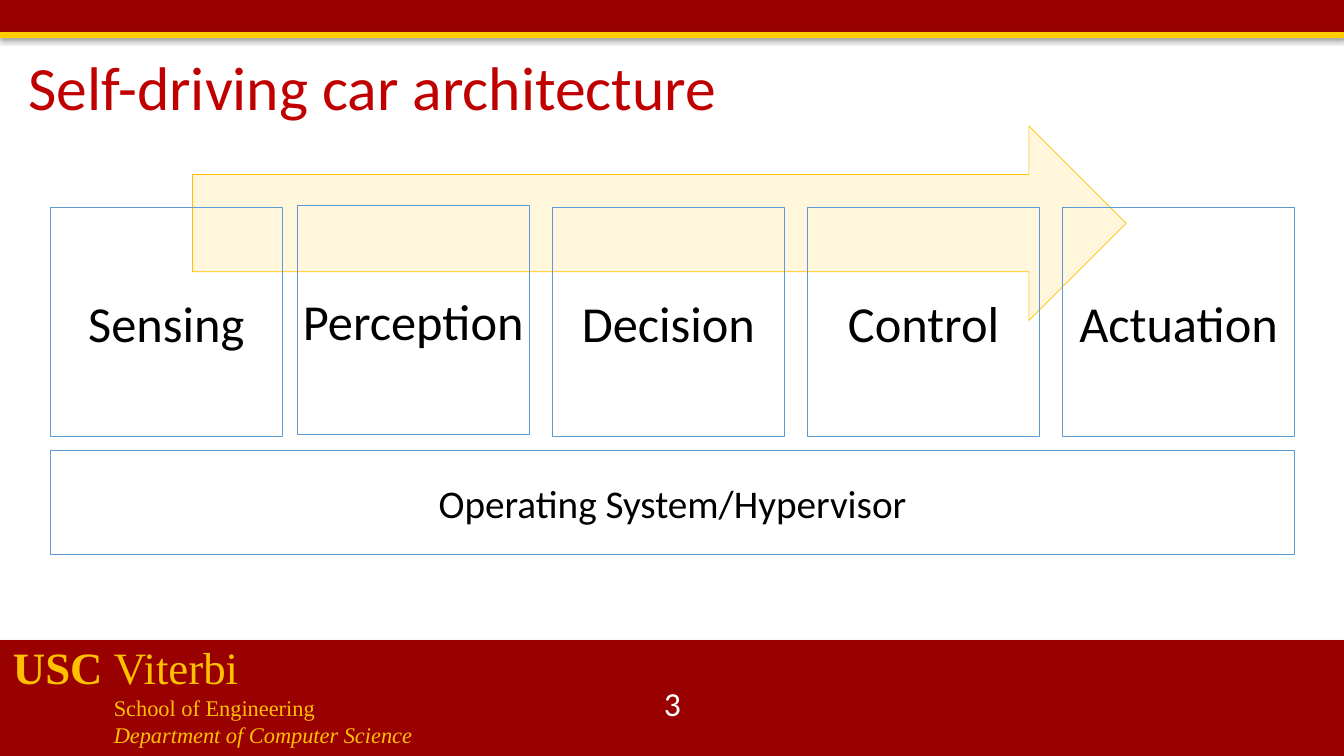
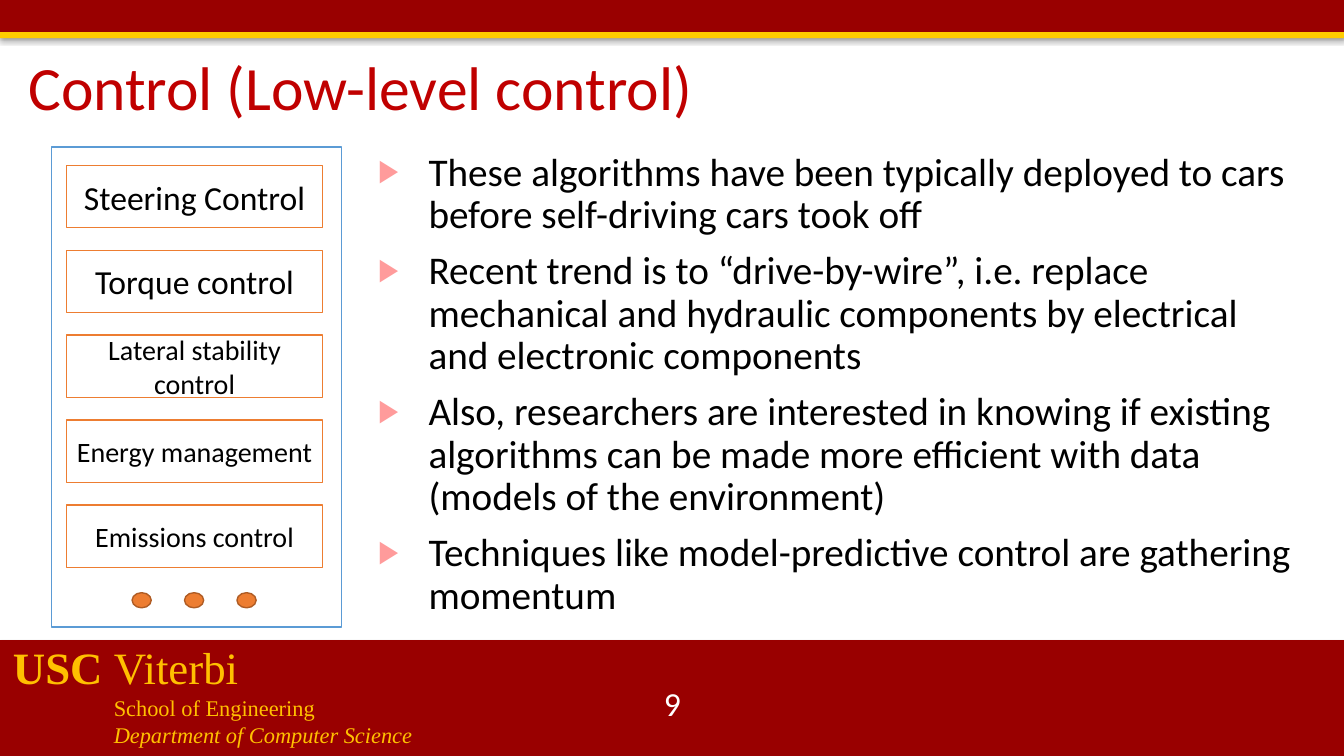
from lxml.etree import SubElement
from pptx import Presentation
from pptx.dml.color import RGBColor
from pptx.enum.shapes import MSO_SHAPE
from pptx.enum.text import MSO_ANCHOR, MSO_AUTO_SIZE, PP_ALIGN
from pptx.oxml.ns import qn
from pptx.util import Inches, Pt

CARDINAL = RGBColor(0x99, 0x00, 0x00)
GOLD = RGBColor(0xFF, 0xCC, 0x00)
AMBER = RGBColor(0xFF, 0xC0, 0x00)
CREAM = RGBColor(0xFF, 0xF2, 0xCC)
TITLE_RED = RGBColor(0xC0, 0x00, 0x00)
BULLET_PINK = RGBColor(0xFF, 0x9B, 0x9B)
BLUE = RGBColor(0x5B, 0x9B, 0xD5)
ORANGE = RGBColor(0xED, 0x7D, 0x31)
BROWN = RGBColor(0xAF, 0x5C, 0x24)
BLACK = RGBColor(0x00, 0x00, 0x00)
WHITE = RGBColor(0xFF, 0xFF, 0xFF)

SANS, SERIF = "Calibri", "Times New Roman"
TITLE_AREA = (0.18, 0.47, 11.94, 0.85)
NUMBER_AREA = (5.17, 6.78, 3, 0.4)

# area, colour, shadow opacity in percent
BANDS = [
    ((0, 6.35, 13.33, 1.15), CARDINAL, 35),
    ((0, 0, 13.33, 0.33), CARDINAL, 35),
    ((0, 0.32, 13.33, 0.06), GOLD, 38),
]
# indent in inches, then runs of text, size, bold, italic
SIGNATURE = [
    (0, [("USC ", 32, True, False), ("Viterbi", 32, False, False)]),
    (1, [("School of Engineering", 16, False, False)]),
    (1, [("Department of Computer Science", 16, False, True)]),
]

ARCHITECTURE_TITLE = "Self-driving car architecture"
STAGES = [("Sensing", 2.06), ("Perception", 2.04), ("Decision", 2.06),
          ("Control", 2.06), ("Actuation", 2.06)]
PLATFORM = "Operating System/Hypervisor"

CONTROL_TITLE = "Control (Low-level control)"
CONTROLLERS = [("Steering Control", 24), ("Torque control", 24),
               ("Lateral stability control", 20), ("Energy management", 20),
               ("Emissions control", 20)]
CONTROL_POINTS = [
    "These algorithms have been typically deployed to cars before self-driving cars took off",
    "Recent trend is to “drive-by-wire”, i.e. replace mechanical and hydraulic components "
    "by electrical and electronic components",
    "Also, researchers are interested in knowing if existing algorithms can be made more "
    "efficient with data (models of the environment)",
    "Techniques like model-predictive control are gathering momentum",
]


def set_attributes(target, **values):
    for name, value in values.items():
        setattr(target, name, value)


def inches(area):
    return [Inches(value) for value in area]


def place(shape, area):
    set_attributes(shape, **dict(zip(("left", "top", "width", "height"), inches(area))))


def add_run(paragraph, text, size, color, font=SANS, bold=False, italic=False):
    run = paragraph.add_run()
    run.text = text
    set_attributes(run.font, name=font, size=Pt(size), bold=bold, italic=italic)
    run.font.color.rgb = color


def add_figure(slide, preset, area, fill=None, line=None, line_width=1):
    shape = slide.shapes.add_shape(preset, *inches(area))
    shape.shadow.inherit = False
    if fill is None:
        shape.fill.background()
    else:
        shape.fill.solid()
        shape.fill.fore_color.rgb = fill
    if line is None:
        shape.line.fill.background()
    else:
        shape.line.color.rgb = line
        shape.line.width = Pt(line_width)
    return shape


def write_centred(shape, text, size, color=BLACK, side_inset=0.1):
    frame = shape.text_frame
    set_attributes(frame, word_wrap=True, vertical_anchor=MSO_ANCHOR.MIDDLE,
                   margin_left=Inches(side_inset), margin_right=Inches(side_inset))
    paragraph = frame.paragraphs[0]
    paragraph.alignment = PP_ALIGN.CENTER
    add_run(paragraph, text, size, color)


def add_box(slide, area, text, size, line, fill=None, side_inset=0.1):
    box = add_figure(slide, MSO_SHAPE.RECTANGLE, area, fill, line)
    write_centred(box, text, size, side_inset=side_inset)


def add_alpha(color_element, percent):
    SubElement(color_element, qn("a:alpha"), val=str(percent * 1000))


def add_band_shadow(band, opacity):
    effects = band.element.spPr.find(qn("a:effectLst"))
    shadow = SubElement(effects, qn("a:outerShdw"), blurRad=str(Pt(3.1)),
                        dist=str(Pt(1.8)), dir="5400000", rotWithShape="0")
    add_alpha(SubElement(shadow, qn("a:srgbClr"), val="000000"), opacity)


def add_signature(slide):
    box = slide.shapes.add_textbox(*inches((0.03, 6.3, 6.25, 1.18)))
    frame = box.text_frame
    frame.word_wrap = True
    for index, (indent, runs) in enumerate(SIGNATURE):
        paragraph = frame.add_paragraph() if index else frame.paragraphs[0]
        paragraph._p.get_or_add_pPr().set("marL", str(Inches(indent)))
        for text, size, bold, italic in runs:
            add_run(paragraph, text, size, AMBER, SERIF, bold, italic)
    return box


def decorate_master(presentation, slide):
    """Draw the bands and signature on a slide, then move them to its master."""
    decorations = []
    for area, color, opacity in BANDS:
        band = add_figure(slide, MSO_SHAPE.RECTANGLE, area, color)
        add_band_shadow(band, opacity)
        decorations.append(band)
    decorations.append(add_signature(slide))
    tree = presentation.slide_master.element.cSld.spTree
    for index, shape in enumerate(decorations):
        shape.element.xpath("./p:nvSpPr/p:cNvPr")[0].set("id", str(100 + index))
        tree.insert(2 + index, shape.element)


def add_slide(presentation, layout_name, title, number):
    slide = presentation.slides.add_slide(
        presentation.slide_layouts.get_by_name(layout_name))
    place(slide.shapes.title, TITLE_AREA)
    frame = slide.shapes.title.text_frame
    set_attributes(frame, word_wrap=True, auto_size=MSO_AUTO_SIZE.NONE,
                   vertical_anchor=MSO_ANCHOR.MIDDLE)
    paragraph = frame.paragraphs[0]
    set_attributes(paragraph, alignment=PP_ALIGN.LEFT, line_spacing=0.9)
    add_run(paragraph, title, 44, TITLE_RED)
    number_box = slide.shapes.add_textbox(*inches(NUMBER_AREA))
    write_centred(number_box, str(number), 24, WHITE)
    return slide


def add_bullet(paragraph):
    properties = paragraph._p.get_or_add_pPr()
    set_indent = {"marL": Inches(0.5), "indent": -Inches(0.5)}
    for name, value in set_indent.items():
        properties.set(name, str(value))
    color = SubElement(properties, qn("a:buClr"))
    SubElement(color, qn("a:srgbClr"), val=str(BULLET_PINK))
    SubElement(properties, qn("a:buSzPct"), val="80000")
    SubElement(properties, qn("a:buChar"), char="▶")


def fill_bullets(body, area, points):
    place(body, area)
    frame = body.text_frame
    set_attributes(frame, word_wrap=True, auto_size=MSO_AUTO_SIZE.NONE)
    for index, point in enumerate(points):
        paragraph = frame.add_paragraph() if index else frame.paragraphs[0]
        add_bullet(paragraph)
        set_attributes(paragraph, line_spacing=0.9, space_before=Pt(10 if index else 0))
        add_run(paragraph, point, 28, BLACK)


def draw_architecture(slide):
    arrow = add_figure(slide, MSO_SHAPE.RIGHT_ARROW, (1.91, 1.25, 9.26, 1.93),
                       CREAM, AMBER, 0.5)
    add_alpha(arrow.element.spPr.find(qn("a:solidFill"))[0], 67)
    margin, last_left, pitch = 0.5, 10.54, 2.53
    for steps_to_end, (name, top) in zip(reversed(range(len(STAGES))), STAGES):
        left = max(margin, last_left - steps_to_end * pitch)
        add_box(slide, (left, top, 2.3, 2.27), name, 36, BLUE, side_inset=0)
    add_box(slide, (margin, 4.47, 12.34, 1.03), PLATFORM, 28, BLUE, WHITE)


def draw_controllers(slide):
    add_figure(slide, MSO_SHAPE.RECTANGLE, (0.51, 1.46, 2.88, 4.76), line=BLUE)
    first_top, last_top = 1.64, 5.01
    pitch = (last_top - first_top) / (len(CONTROLLERS) - 1)
    for index, (name, size) in enumerate(CONTROLLERS):
        area = (0.66, first_top + index * pitch, 2.54, 0.62)
        add_box(slide, area, name, size, ORANGE, WHITE)
    for index in range(3):
        add_figure(slide, MSO_SHAPE.OVAL, (1.31 + index * 0.52, 5.88, 0.19, 0.15),
                   ORANGE, BROWN)


def main():
    presentation = Presentation()
    set_attributes(presentation, slide_width=Inches(13.33), slide_height=Inches(7.5))

    architecture = add_slide(presentation, "Title Only", ARCHITECTURE_TITLE, 3)
    decorate_master(presentation, architecture)
    draw_architecture(architecture)

    control = add_slide(presentation, "Title and Content", CONTROL_TITLE, 9)
    fill_bullets(control.placeholders[1], (3.65, 1.46, 9.32, 4.76), CONTROL_POINTS)
    draw_controllers(control)

    presentation.save("out.pptx")


if __name__ == "__main__":
    main()
